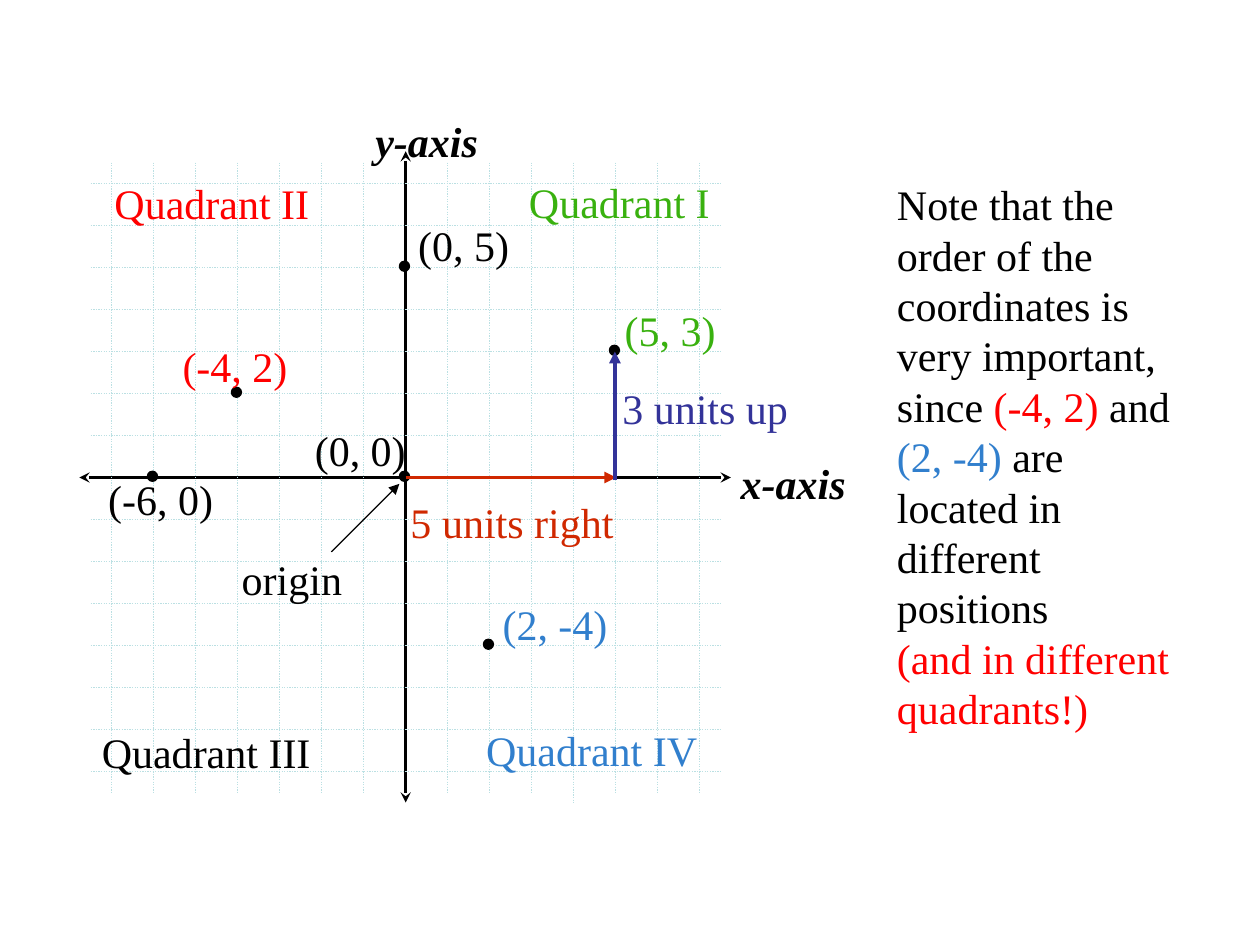
from lxml import etree
from pptx import Presentation
from pptx.dml.color import RGBColor
from pptx.enum import dml, shapes, text
from pptx.oxml.ns import qn
from pptx.util import Inches, Pt

INK = {"black": "000000", "red": "FF0000", "green": "39B10F", "blue": "317FCD",
       "rust": "D02800", "navy": "333399", "grid": "BBE0E3"}
X0, Y0, UNIT, HALF = 3.22, 3.79, 1 / 3, 2.5

deck = Presentation()
deck.slide_width, deck.slide_height = Inches(10), Inches(7.5)
slide = deck.slides.add_slide(deck.slide_layouts[6])


def line(start, end, ink, width, head=None, tail=None):
    """Draw a line; head and tail name the arrowheads at start and end."""
    link = slide.shapes.add_connector(
        shapes.MSO_CONNECTOR.STRAIGHT, *map(Inches, start + end))
    link.line.color.rgb = RGBColor.from_string(INK[ink])
    link.line.width = Pt(width)
    props = link._element.spPr
    etree.SubElement(props, qn("a:effectLst"))
    for tag, kind in (("a:headEnd", head), ("a:tailEnd", tail)):
        if kind:
            etree.SubElement(link.line._get_or_add_ln(), qn(tag), type=kind)
    return link


def label(place, runs, wrap=False, strong=False):
    """Add a text box of one paragraph; a run of "\\n" breaks the line."""
    box = slide.shapes.add_textbox(*map(Inches, place))
    frame = box.text_frame
    frame.word_wrap = wrap
    frame.auto_size = text.MSO_AUTO_SIZE.SHAPE_TO_FIT_TEXT
    para = frame.paragraphs[0]
    para.line_spacing = Pt(28.8)
    para.font.name, para.font.size = "Times New Roman", Pt(24)
    if strong:
        para.font.bold = para.font.italic = True
    for words, ink in runs:
        if words == "\n":
            para.add_line_break()
            continue
        run = para.add_run()
        run.text = words
        run.font.color.rgb = RGBColor.from_string(INK[ink])


# Note
label((7.02, 1.37, 2.52, 4.54), [
    ("Note that the order of the coordinates is very important, since ", "black"),
    ("(-4, 2)", "red"), (" and ", "black"), ("(2, -4)", "blue"),
    (" are located in different positions", "black"), ("\n", None),
    ("(and in different quadrants!)", "red")], wrap=True)

# Axes
line((X0, 1.2), (X0, 6.37), "black", 1.5, "stealth", "stealth")
line((0.63, Y0), (5.8, Y0), "black", 1.5, "stealth", "stealth")

# Grid
for step in range(-7, 8):
    if step == 0:
        continue
    x, y = X0 + step * UNIT, Y0 + step * UNIT
    foot = 6.37 if step == 4 else Y0 + HALF
    for start, end in (((X0 - HALF, y), (X0 + HALF, y)),
                       ((x, Y0 - HALF), (x, foot))):
        rule = line(start, end, "grid", 0.75)
        rule.line.dash_style = dml.MSO_LINE.ROUND_DOT

# Points
SIZE = 0.08
for px, py in ((2, -4), (-4, 2), (5, 3), (-6, 0), (0, 5), (0, 0)):
    left = X0 - 0.01 + px * UNIT - SIZE / 2
    top = Y0 - 0.01 - py * UNIT - SIZE / 2
    dot = slide.shapes.add_shape(
        shapes.MSO_SHAPE.OVAL, *map(Inches, (left, top, SIZE, SIZE)))
    dot.shadow.inherit = False
    dot.fill.solid()
    dot.fill.fore_color.rgb = RGBColor.from_string(INK["black"])
    dot.line.color.rgb = RGBColor.from_string(INK["black"])
    dot.line.width = Pt(0.75)

# Moves from the origin to (5, 3)
line((X0, Y0), (4.89, Y0), "rust", 2.25, tail="triangle")
line((4.88, 3.81), (4.88, 2.79), "navy", 2.25, tail="triangle")

# Labels
for words, ink, left, top, width in (
        ("x-axis", "black", 5.78, 3.58, 1.03),
        ("y-axis", "black", 2.88, 0.87, 1.02),
        ("(5, 3)", "green", 4.86, 2.37, 0.92),
        ("5 units right", "rust", 3.16, 3.89, 1.97),
        ("3 units up", "navy", 4.84, 2.99, 1.52),
        ("(0, 5)", "black", 3.22, 1.69, 1.01),
        ("(-6, 0)", "black", 0.76, 3.71, 1.12),
        ("(2, -4)", "blue", 3.89, 4.7, 1.12),
        ("(-4, 2)", "red", 1.35, 2.65, 1.12),
        ("(0, 0)", "black", 2.4, 3.32, 1.01),
        ("Quadrant I", "green", 4.1, 1.35, 1.64),
        ("Quadrant IV", "blue", 3.76, 5.7, 1.88),
        ("Quadrant III", "black", 0.71, 5.72, 1.86),
        ("Quadrant II", "red", 0.81, 1.36, 1.75),
        ("origin", "black", 1.82, 4.34, 1)):
    label((left, top, width, 0.5), [(words, ink)],
          wrap=words[0] in "(5" and words != "(5, 3)",
          strong=words.endswith("axis"))

# Pointer to the origin
line((2.63, 4.38), (3.17, 3.84), "black", 0.75, tail="triangle")

deck.save("out.pptx")
